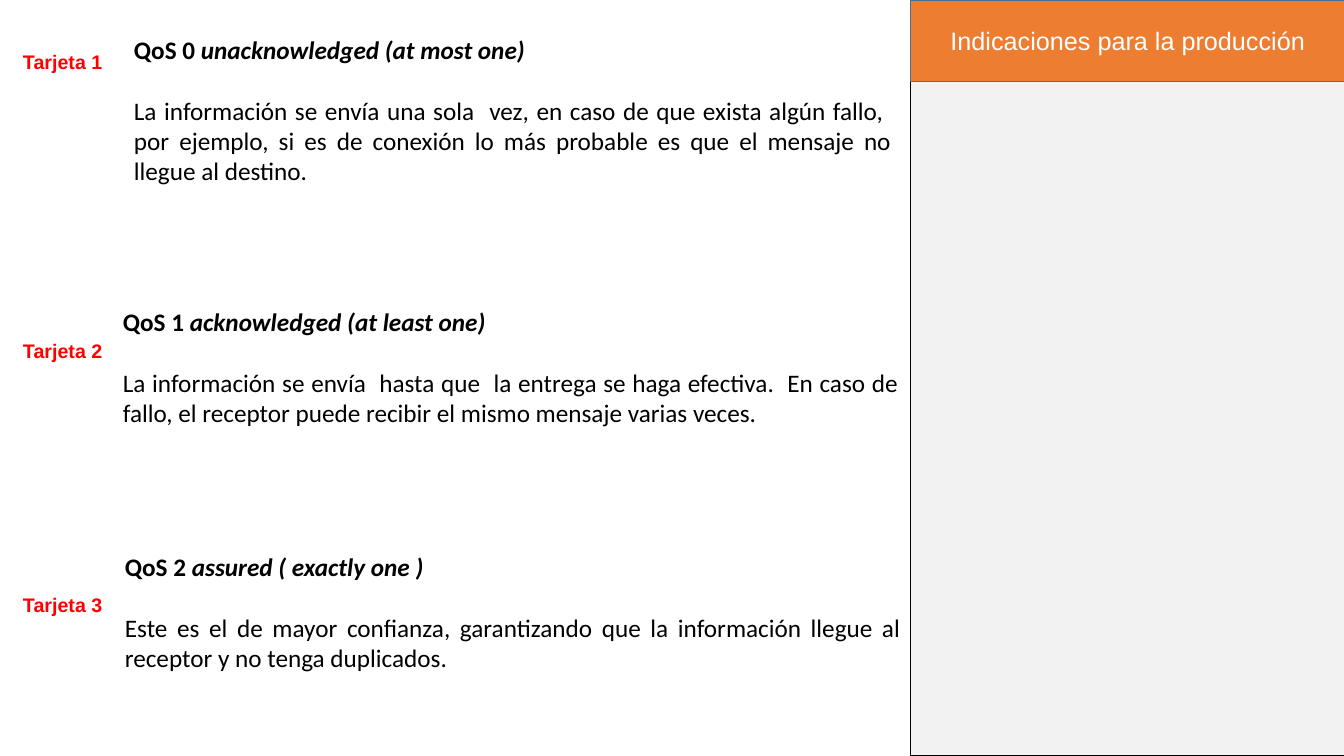
from pptx import Presentation
from pptx.dml.color import RGBColor
from pptx.enum.shapes import MSO_SHAPE
from pptx.enum.text import MSO_ANCHOR, MSO_AUTO_SIZE, PP_ALIGN
from pptx.util import Inches, Pt

CARDS = [
    ("Tarjeta 1", 0.41, (1.23, 0.29, 7.71, 1.62), "QoS 0 ", "unacknowledged (at most one)",
     "La información se envía una sola  vez, en caso de que exista algún fallo,  "
     "por ejemplo, si es de conexión lo más probable es que el mensaje no llegue al destino."),
    ("Tarjeta 2", 3.28, (1.12, 2.99, 7.89, 1.62), "QoS 1 ", "acknowledged (at least one)",
     "La información se envía  hasta que  la entrega se haga efectiva.  "
     "En caso de fallo, el receptor puede recibir el mismo mensaje varias veces."),
    ("Tarjeta 3", 5.8, (1.14, 5.42, 7.89, 1.62), "QoS 2 ", "assured ( exactly one )",
     "Este es el de mayor confianza, garantizando que la información llegue al receptor "
     "y no tenga duplicados."),
]


def color(value):
    """Turn a hex string into a colour."""
    return RGBColor.from_string(value)


class CardSlide:
    """Holds the style and the current slide."""

    label_font, body_font = "Arial", "Calibri"
    accent, border, panel_fill = "ED7D31", "42719B", "F2F2F2"
    black, white, red = "000000", "FFFFFF", "FF0000"

    def __init__(self, deck):
        """Add a title-only page to the deck."""
        self.page = deck.slides.add_slide(deck.slide_layouts[5])

    def paint(self, shape, fill, line):
        """Give a shape a solid fill and a thin outline."""
        shape.fill.solid()
        shape.fill.fore_color.rgb = color(fill)
        shape.line.color.rgb = color(line)
        shape.line.width = Pt(1)

    def style(self, para, font, size, ink, bold=False, align=PP_ALIGN.LEFT):
        """Set the font and alignment of a paragraph."""
        para.alignment = align
        para.font.name = font
        para.font.size = Pt(size)
        para.font.bold = bold
        para.font.color.rgb = color(ink)

    def panel(self, left, top, width, height):
        """Draw the empty side panel."""
        box = self.page.shapes.add_shape(
            MSO_SHAPE.RECTANGLE, Inches(left), Inches(top), Inches(width), Inches(height))
        box.shadow.inherit = False
        self.paint(box, self.panel_fill, self.black)

    def title(self, text, left, top, width, height):
        """Place the title as a coloured band in front of the panel."""
        band = self.page.shapes.title
        band.left, band.top = Inches(left), Inches(top)
        band.width, band.height = Inches(width), Inches(height)
        self.paint(band, self.accent, self.border)
        frame = band.text_frame
        frame.text = text
        frame.auto_size = MSO_AUTO_SIZE.NONE
        frame.vertical_anchor = MSO_ANCHOR.MIDDLE
        self.style(frame.paragraphs[0], self.label_font, 18, self.white, align=PP_ALIGN.CENTER)
        self.page.shapes._spTree.append(band._element)

    def text_frame(self, left, top, width, height):
        """Add a wrapping text box and return its frame."""
        box = self.page.shapes.add_textbox(
            Inches(left), Inches(top), Inches(width), Inches(height))
        box.text_frame.word_wrap = True
        return box.text_frame

    def label(self, text, top):
        """Write a red card label at the left edge."""
        para = self.text_frame(0.13, top, 1.14, 0.35).paragraphs[0]
        para.text = text
        para.line_spacing = 1.15
        self.style(para, self.label_font, 14, self.red, True, PP_ALIGN.JUSTIFY)

    def card(self, area, level, meaning, body):
        """Write a service level heading with its explanation."""
        frame = self.text_frame(*area)
        heading = frame.paragraphs[0]
        heading.add_run().text = level
        span = heading.add_run()
        span.text = meaning
        span.font.italic = True
        self.style(heading, self.body_font, 18, self.black, True)
        para = frame.add_paragraph()
        para.text = body
        para.space_before = Pt(22)
        self.style(para, self.body_font, 18, self.black, align=PP_ALIGN.JUSTIFY)


def main():
    """Build and save the deck."""
    deck = Presentation()
    deck.slide_width, deck.slide_height = Inches(13.33), Inches(7.5)
    slide = CardSlide(deck)
    slide.panel(9.03, 0, 4.31, 7.5)
    slide.title("Indicaciones para la producción", 9.03, 0, 4.31, 0.81)
    for name, top, area, level, meaning, body in CARDS:
        slide.label(name, top)
        slide.card(area, level, meaning, body)
    deck.save("out.pptx")


if __name__ == "__main__":
    main()
